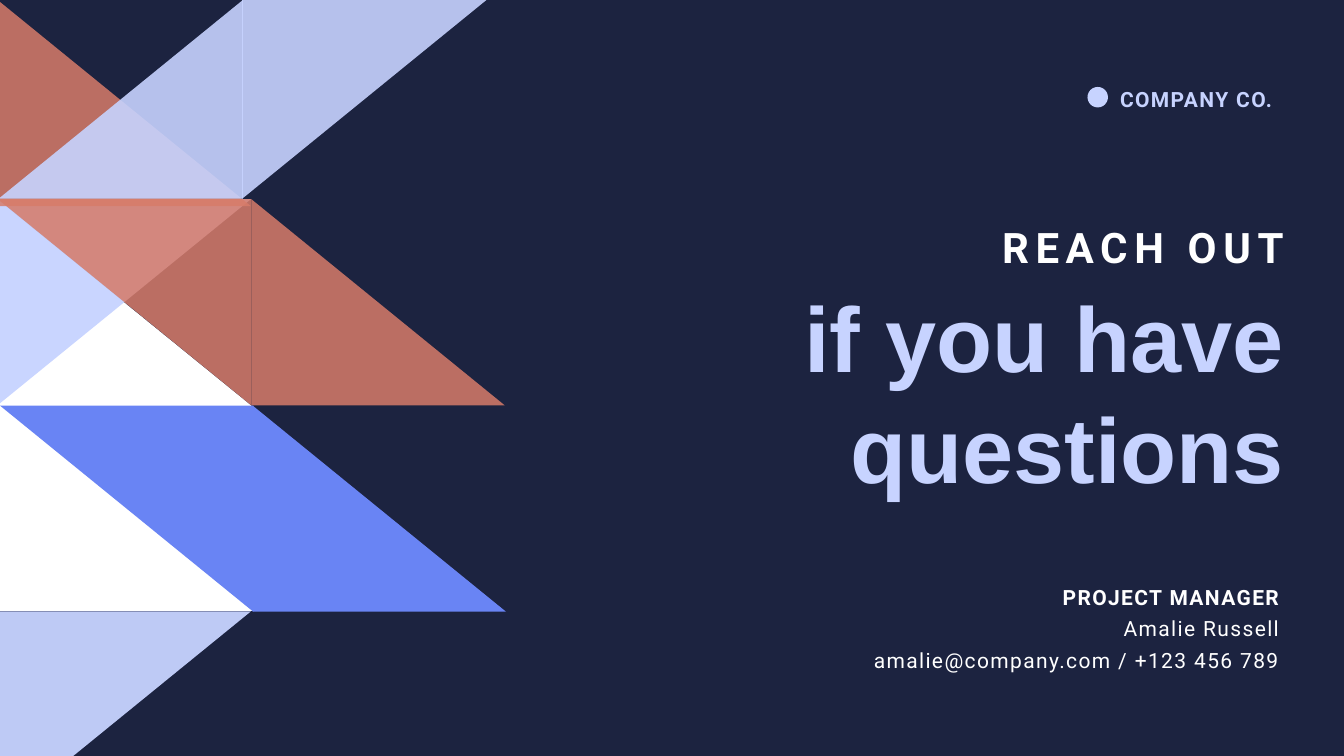
from dataclasses import dataclass

from lxml.etree import SubElement
from pptx import Presentation
from pptx.dml.color import RGBColor as RGB
from pptx.enum.shapes import MSO_SHAPE as Shape
from pptx.enum.text import PP_ALIGN as Align
from pptx.oxml.ns import qn
from pptx.util import Pt


@dataclass(frozen=True)
class Theme:
    navy: str = "1C2340"
    white: str = "FFFFFF"
    lilac: str = "C7D3FF"
    coral: str = "D77C6A"
    blue: str = "6984F4"
    head: str = "Arial"
    body: str = "Roboto"
    big: float = 52.5
    mid: float = 24
    small: float = 12


class Deck:
    def __init__(self, theme, slide):
        self.theme = theme
        self.slide = slide

    def paint(self, shape, color, alpha=100):
        """Give a shape a plain fill, with alpha in percent, and no line."""
        shape.shadow.inherit = False
        shape.line.fill.background()
        shape.fill.solid()
        shape.fill.fore_color.rgb = RGB.from_string(color)
        if alpha < 100:
            tint = shape.fill._xPr.find(qn("a:solidFill"))[0]
            SubElement(tint, qn("a:alpha"), val=str(alpha * 1000))

    def preset(self, kind, box, color):
        shape = self.slide.shapes.add_shape(kind, *map(Pt, box))
        self.paint(shape, color)

    def corner(self, x, y, dx, dy, color, alpha=100):
        """Draw a right triangle from its square corner and two signed legs."""
        pen = self.slide.shapes.build_freeform(Pt(x), Pt(y))
        pen.add_line_segments([(Pt(x + dx), Pt(y)), (Pt(x), Pt(y + dy))])
        self.paint(pen.convert_to_shape(), color, alpha)

    def text(self, box, lines, font, size, color, lead, top,
             gap=0, align=Align.RIGHT):
        """Write (words, bold) lines with fixed leading and letter gap."""
        frame = self.slide.shapes.add_textbox(*map(Pt, box)).text_frame
        frame.word_wrap = True
        frame.margin_left = frame.margin_right = frame.margin_bottom = 0
        frame.margin_top = Pt(top)
        frame.text = "\n".join(words for words, _ in lines)
        for para, (_, bold) in zip(frame.paragraphs, lines):
            para.alignment = align
            para.line_spacing = Pt(lead)
            face = para.runs[0].font
            face.name, face.size, face.bold = font, Pt(size), bold
            face.color.rgb = RGB.from_string(color)
            if gap:
                para.runs[0]._r.get_or_add_rPr().set("spc", str(round(gap * 100)))


def main():
    prs = Presentation()
    prs.slide_width, prs.slide_height = Pt(768), Pt(432)
    look = Theme()
    deck = Deck(look, prs.slides.add_slide(prs.slide_layouts[6]))

    deck.preset(Shape.RECTANGLE, (0, 0, 768, 432), look.navy)

    wide, tall = 144.8, 117.8
    slim, low = 139.6, 113.6
    left, mid = -1.4, 143.6
    row1, row2, row3 = 113.8, 231.8, 349.4
    for tile in (
        (-103, 349, 391, -317.5, look.white),
        (left, row1, wide, tall, look.lilac, 95),
        (left, tall, wide, -tall, look.coral, 85),
        (138.8, low, -slim, -low, look.lilac, 90),
        (138.4, 0, slim, low, look.lilac, 90),
        (mid, row1, -wide, tall, look.coral, 85),
        (mid, row2 - 0.2, wide, -tall, look.coral, 85),
        (wide, row2, -wide, tall, look.blue),
        (mid + 0.8, row3 + 0.2, wide, -tall, look.blue),
        (left, row3, wide, tall, look.lilac, 95),
    ):
        deck.corner(*tile)

    deck.text((365, 154.8, 368.6, 126), [("if you have questions", True)],
              look.head, look.big, look.lilac, lead=63, top=5.8)
    deck.text((345.6, 126, 388, 26), [("REACH OUT", True)],
              look.body, look.mid, look.white, lead=26.4, top=2.9, gap=3.8)
    deck.text((457.2, 329, 273.8, 54),
              [("PROJECT MANAGER", True), ("Amalie Russell", False),
               ("amalie@company.com / +123 456 789", False)],
              look.body, look.small, look.white, lead=18, top=1.4, gap=0.8)
    deck.text((640, 49, 93, 13.7), [("COMPANY CO.", True)],
              look.body, look.small, look.lilac, lead=13.2, top=1.4, gap=0.8,
              align=Align.LEFT)
    deck.preset(Shape.OVAL, (621.4, 49.7, 11.7, 11.7), look.lilac)

    prs.save("out.pptx")


if __name__ == "__main__":
    main()
